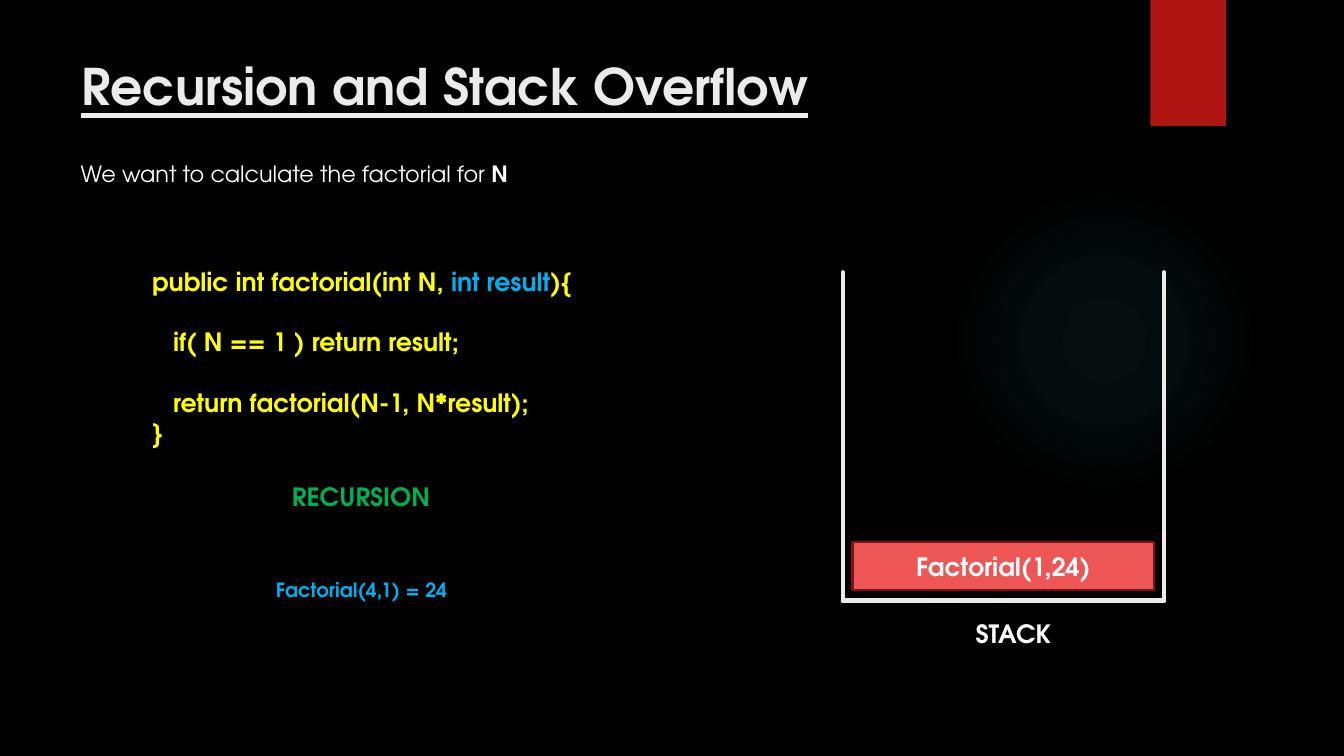
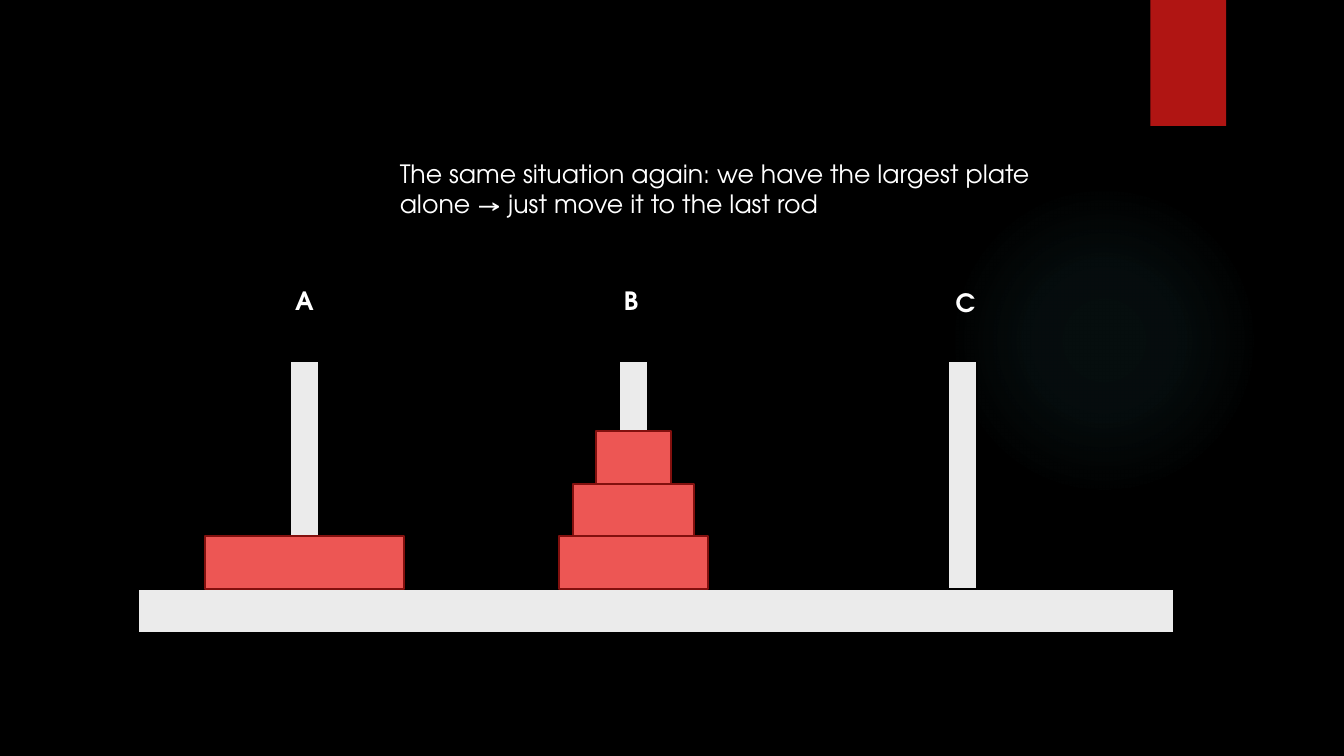
from lxml.etree import SubElement
from pptx import Presentation
from pptx.dml.color import RGBColor
from pptx.enum.shapes import MSO_CONNECTOR as CONNECTOR, MSO_SHAPE as SHAPE
from pptx.enum.text import MSO_ANCHOR as ANCHOR, MSO_AUTO_SIZE as AUTO_SIZE, PP_ALIGN as ALIGN
from pptx.oxml import parse_xml
from pptx.oxml.ns import nsdecls, qn
from pptx.util import Pt

FONT = "TeX Gyre Adventor"
COLORS = {
    "black": "000000", "white": "FFFFFF", "light": "EBEBEB",
    "band": "B01513", "plate": "ED5654", "plate edge": "82100E", "glow": "50B9C1",
    "yellow": "FFFF00", "blue": "00B0F0", "green": "00B050",
}


def add_box(slide, left, top, width, height, fill, edge=None, kind=SHAPE.RECTANGLE):
    box = slide.shapes.add_shape(kind, Pt(left), Pt(top), Pt(width), Pt(height))
    box.shadow.inherit = False
    box.fill.solid()
    box.fill.fore_color.rgb = RGBColor.from_string(COLORS[fill])
    if edge:
        box.line.color.rgb = RGBColor.from_string(COLORS[edge])
        box.line.width = Pt(1.5)
    else:
        box.line.fill.background()
    return box


def add_text(slide, left, top, width, height, lines, color="white", size=18, bold=True, wrap=False):
    box = slide.shapes.add_textbox(Pt(left), Pt(top), Pt(width), Pt(height))
    frame = box.text_frame
    frame.word_wrap = wrap
    frame.auto_size = AUTO_SIZE.SHAPE_TO_FIT_TEXT
    for number, line in enumerate(lines):
        para = frame.add_paragraph() if number else frame.paragraphs[0]
        para.text = line
        para.font.name = FONT
        para.font.size = Pt(size)
        para.font.bold = bold
        para.font.color.rgb = RGBColor.from_string(COLORS[color])
    return box


deck = Presentation()
deck.slide_width, deck.slide_height = Pt(960), Pt(540)

# Shared look: black background, soft glow and red band
background = deck.slide_master.background.fill
background.solid()
background.fore_color.rgb = RGBColor.from_string(COLORS["black"])
stops = "".join(
    f'<a:gs pos="{position * 1000}"><a:srgbClr val="{COLORS["glow"]}">'
    f'<a:alpha val="{alpha * 1000}"/></a:srgbClr></a:gs>'
    for position, alpha in [(0, 7), (36, 6), (69, 0)])
gradient = (
    f'<a:gradFill {nsdecls("a")}><a:gsLst>{stops}</a:gsLst><a:path path="circle">'
    '<a:fillToRect l="50000" t="50000" r="50000" b="50000"/></a:path></a:gradFill>')
for _ in range(2):
    slide = deck.slides.add_slide(deck.slide_layouts[6])
    glow = add_box(slide, 677.5, 131.75, 222, 222, "glow", kind=SHAPE.OVAL)
    properties = glow.element.spPr
    properties.replace(properties.find(qn("a:solidFill")), parse_xml(gradient))
    add_box(slide, 821.75, 0, 54, 90, "band")
recursion, hanoi = deck.slides

# Slide 1: title and introduction
title = add_text(recursion, 51, 36, 741, 58, ["Recursion and Stack Overflow"], "light", 36, wrap=True)
title.text_frame.paragraphs[0].font.underline = True
intro = add_text(recursion, 50.5, 111, 739.5, 46, ["We want to calculate the factorial for "],
                 size=16, bold=False, wrap=True)
span = intro.text_frame.paragraphs[0].add_run()
span.text = "N"
span.font.bold = True

# Slide 1: the recursive method and its result
code = add_text(recursion, 101.5, 186.5, 314, 138, [
    "public int factorial(int N, ",
    "if( N == 1 ) return result;",
    "return factorial(N-1, N*result);",
    "}"], "yellow")
signature, *body, closing = code.text_frame.paragraphs
for text, color in [("int result", "blue"), ("){", "yellow")]:
    span = signature.add_run()
    span.text = text
    span.font.color.rgb = RGBColor.from_string(COLORS[color])
for para in body:
    para.space_before = Pt(21.6)
    para._p.get_or_add_pPr().set("marL", str(Pt(15)))
add_text(recursion, 201.5, 340, 114.5, 29, ["RECURSION"], "green")
add_text(recursion, 190, 409, 137, 24.5, ["Factorial(4,1) = 24"], "blue", 14)

# Slide 1: the stack, open at the top, with one call on it
left, right, top, bottom = 602, 831.5, 194.5, 429
for start, end in [((left, top), (left, bottom)),
                   ((left, bottom), (right, bottom)),
                   ((right, top), (right, bottom))]:
    wall = recursion.shapes.add_connector(CONNECTOR.STRAIGHT, *map(Pt, start + end))
    wall.line.color.rgb = RGBColor.from_string(COLORS["light"])
    wall.line.width = Pt(3)
    wall.line._ln.set("cap", "rnd")
    SubElement(wall.element.spPr, qn("a:effectLst"))
add_text(recursion, 689.75, 437.75, 70.5, 29, ["STACK"])
call = add_box(recursion, 609, 387.25, 215.5, 34.5, "plate", "plate edge")
call.text_frame.vertical_anchor = ANCHOR.MIDDLE
para = call.text_frame.paragraphs[0]
para.text = "Factorial(1,24)"
para.alignment = ALIGN.CENTER
para.font.name = FONT
para.font.size = Pt(18)
para.font.bold = True
para.font.color.rgb = RGBColor.from_string(COLORS["white"])

# Slide 2: base, then rods with their plates from the bottom up
base_top, rod_top, rod_width, plate_height = 421, 257.75, 21, 37.5
rods = [("A", 203.75, 200, [142]),
        ("B", 438.5, 200, [106.5, 86, 53.5]),
        ("C", 675.5, 201.5, [])]
add_box(hanoi, 98.5, base_top, 740, 31.5, "light", "black")
for number, (name, label_left, label_top, plates) in enumerate(rods):
    center = 217.5 + 235 * number
    add_box(hanoi, center - rod_width / 2, rod_top, rod_width, base_top - rod_top, "light", "black")
    for level, width in enumerate(plates, 1):
        add_box(hanoi, center - width / 2, base_top - 0.5 - level * plate_height,
                width, plate_height, "plate", "plate edge")
    add_text(hanoi, label_left, label_top, 28, 29, [name])

# Slide 2: explanation
add_text(hanoi, 278.5, 109.5, 471, 51, [
    "The same situation again: we have the largest plate",
    "alone → just move it to the last rod"], bold=False)

deck.save("out.pptx")
